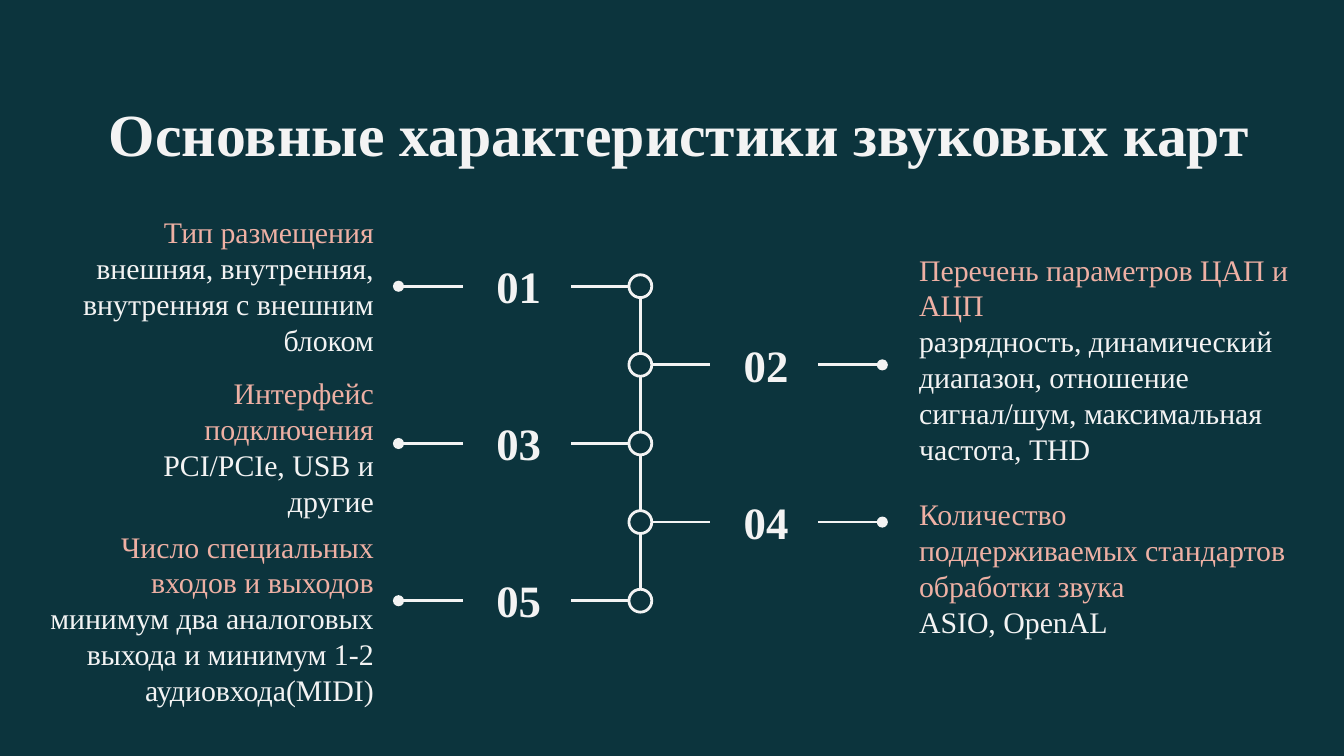
from dataclasses import dataclass

from lxml.etree import SubElement
from pptx import Presentation
from pptx.dml.color import RGBColor
from pptx.enum.shapes import MSO_CONNECTOR, MSO_SHAPE
from pptx.enum.text import MSO_ANCHOR, PP_ALIGN
from pptx.oxml.ns import qn
from pptx.slide import Slide
from pptx.util import Inches, Pt

BACKGROUND = RGBColor(0x0C, 0x34, 0x3D)
LIGHT = RGBColor(0xF3, 0xF3, 0xF3)
PINK = RGBColor(0xEE, 0xB0, 0xA4)
FONT = "Times New Roman"

AXIS_X = 4.765
FIRST_Y = 2.13
STEP_Y = 0.585
RADIUS = 0.085
NUMBER_WIDTH, NUMBER_HEIGHT = 0.8, 0.5


@dataclass(frozen=True)
class Line:
    text: str
    color: RGBColor = LIGHT
    size: int = 16
    bold: bool = False


@dataclass(frozen=True)
class Box:
    left: float
    top: float
    width: float
    height: float
    margin_y: float = 0.1


@dataclass(frozen=True)
class Side:
    direction: int
    number_left: float
    align: PP_ALIGN


@dataclass(frozen=True)
class Feature:
    side: Side
    box: Box
    heading: list[str]
    details: str


LEFT = Side(-1, 3.46, PP_ALIGN.RIGHT)
RIGHT = Side(1, 5.3, PP_ALIGN.LEFT)

FEATURES = [
    Feature(LEFT, Box(0.29, 1.49, 2.59, 1.19), ["Тип размещения"],
            "внешняя, внутренняя, внутренняя с внешним блоком"),
    Feature(RIGHT, Box(6.74, 1.82, 3.31, 1.78, margin_y=0.05),
            ["Перечень параметров ЦАП и АЦП"],
            "разрядность, динамический диапазон, отношение сигнал/шум, "
            "максимальная частота, THD"),
    Feature(LEFT, Box(0.71, 2.69, 2.17, 0.98), ["Интерфейс подключения"],
            "PCI/PCIe, USB и другие"),
    Feature(RIGHT, Box(6.74, 3.59, 3.1, 1.63),
            ["Количество", "поддерживаемых стандартов обработки звука"],
            "ASIO, OpenAL"),
    Feature(LEFT, Box(0.16, 3.83, 2.72, 1.19), ["Число специальных входов и выходов"],
            "минимум два аналоговых выхода и минимум 1-2 аудиовхода(MIDI)"),
]


def add_text(slide: Slide, box: Box, lines: list[Line], align: PP_ALIGN,
             anchor: MSO_ANCHOR = MSO_ANCHOR.TOP) -> None:
    frame = slide.shapes.add_textbox(
        Inches(box.left), Inches(box.top), Inches(box.width), Inches(box.height)
    ).text_frame
    frame.word_wrap = True
    frame.vertical_anchor = anchor
    frame.margin_left = frame.margin_right = Inches(0.1)
    frame.margin_top = frame.margin_bottom = Inches(box.margin_y)
    for index, line in enumerate(lines):
        paragraph = frame.add_paragraph() if index else frame.paragraphs[0]
        paragraph.text = line.text
        paragraph.alignment = align
        paragraph.font.name = FONT
        paragraph.font.size = Pt(line.size)
        paragraph.font.bold = line.bold
        paragraph.font.color.rgb = line.color


def add_line(slide: Slide, x1: float, y1: float, x2: float, y2: float,
             dot: bool = False) -> None:
    """Draw a straight line, with a round dot at its end if asked."""
    connector = slide.shapes.add_connector(
        MSO_CONNECTOR.STRAIGHT, Inches(x1), Inches(y1), Inches(x2), Inches(y2))
    connector.line.color.rgb = LIGHT
    connector.line.width = Pt(1.5)
    properties = connector.element.spPr
    if dot:
        SubElement(properties.find(qn("a:ln")), qn("a:tailEnd"), type="oval")
    SubElement(properties, qn("a:effectLst"))


def add_node(slide: Slide, y: float) -> None:
    node = slide.shapes.add_shape(
        MSO_SHAPE.OVAL, Inches(AXIS_X - RADIUS), Inches(y - RADIUS),
        Inches(2 * RADIUS), Inches(2 * RADIUS))
    node.shadow.inherit = False
    node.fill.background()
    node.line.color.rgb = LIGHT
    node.line.width = Pt(1.5)


def add_feature(slide: Slide, number: int, feature: Feature) -> None:
    side = feature.side
    y = FIRST_Y + (number - 1) * STEP_Y
    add_node(slide, y)
    if number < len(FEATURES):
        add_line(slide, AXIS_X, y + RADIUS, AXIS_X, y + STEP_Y - RADIUS)

    near, far, end = (AXIS_X + side.direction * offset for offset in (0.52, 1.32, 1.8))
    add_line(slide, AXIS_X + side.direction * RADIUS, y, near, y)
    add_line(slide, far, y, end, y, dot=True)

    number_box = Box(side.number_left, y - 0.255, NUMBER_WIDTH, NUMBER_HEIGHT)
    add_text(slide, number_box, [Line(f"{number:02}", size=24, bold=True)],
             PP_ALIGN.CENTER, MSO_ANCHOR.MIDDLE)
    lines = [Line(text, PINK) for text in feature.heading] + [Line(feature.details)]
    add_text(slide, feature.box, lines, side.align)


def main() -> None:
    presentation = Presentation()
    presentation.slide_width = Inches(10)
    presentation.slide_height = Inches(5.625)
    slide = presentation.slides.add_slide(presentation.slide_layouts[6])
    slide.background.fill.solid()
    slide.background.fill.fore_color.rgb = BACKGROUND

    add_text(slide, Box(0.6, 0.62, 8.91, 0.63),
             [Line("Основные характеристики звуковых карт", size=32, bold=True)],
             PP_ALIGN.CENTER)
    for number, feature in enumerate(FEATURES, start=1):
        add_feature(slide, number, feature)
    presentation.save("out.pptx")


if __name__ == "__main__":
    main()
